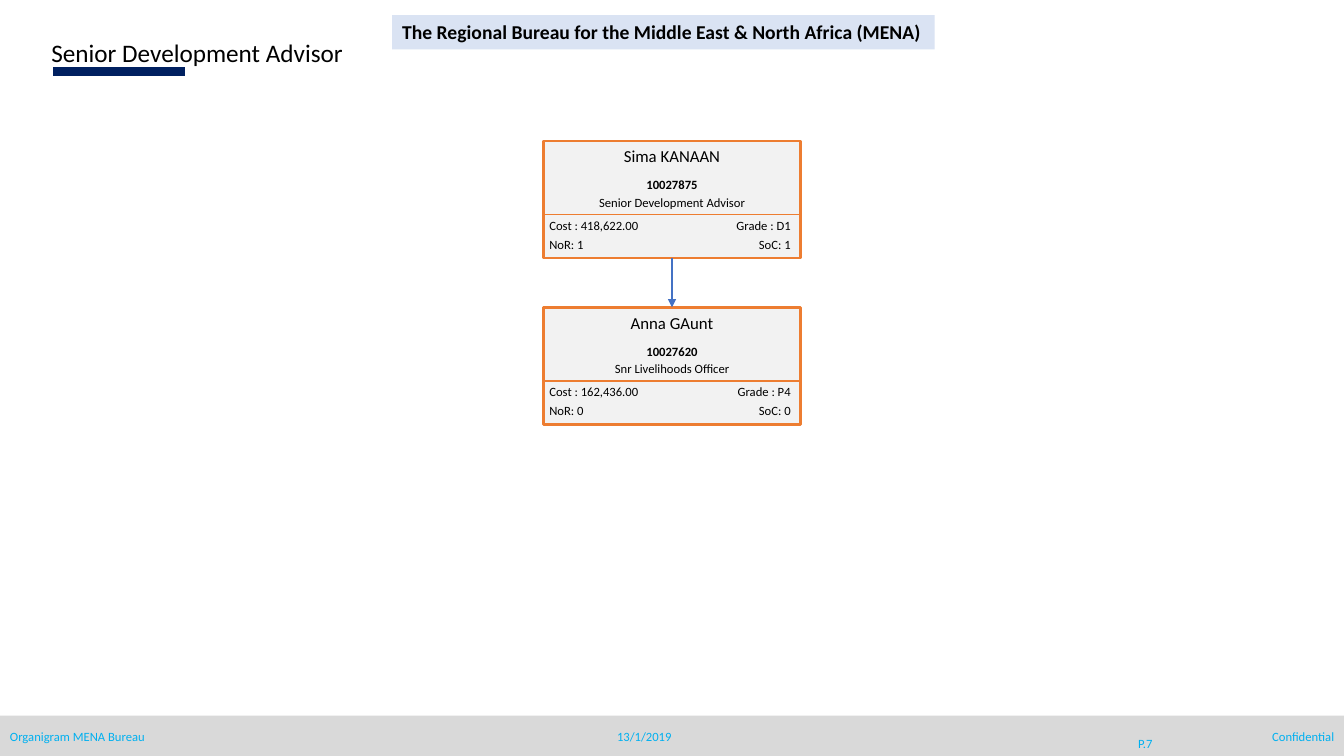
from pptx import Presentation
from pptx.dml.color import RGBColor
from pptx.enum.shapes import MSO_CONNECTOR as Conn, MSO_SHAPE as Kind
from pptx.enum.text import MSO_ANCHOR as Anchor, MSO_AUTO_SIZE as Fit, PP_ALIGN as Align
from pptx.oxml.ns import qn
from pptx.util import Inches, Pt
from lxml import etree

FONT = "Calibri"
BLACK, SKY, ORANGE = "000000", "00B0F0", "ED7D31"
LEFT, MID, RIGHT = Align.LEFT, Align.CENTER, Align.RIGHT


def paint(color, code):
    color.rgb = RGBColor.from_string(code)


def write(shape, text, size=9, code=BLACK, align=LEFT, bold=False, anchor=Anchor.TOP, wrap=True):
    frame = shape.text_frame
    frame.auto_size = Fit.NONE
    frame.word_wrap = wrap
    frame.vertical_anchor = anchor
    para = frame.paragraphs[0]
    para.text = text
    para.alignment = align
    para.font.name = FONT
    para.font.size = Pt(size)
    para.font.bold = bold
    paint(para.font.color, code)


def label(slide, box, text, **style):
    shape = slide.shapes.add_textbox(*map(Inches, box))
    write(shape, text, **style)


def panel(slide, box, fill, edge=None):
    shape = slide.shapes.add_shape(Kind.RECTANGLE, *map(Inches, box))
    shape.shadow.inherit = False
    shape.fill.solid()
    paint(shape.fill.fore_color, fill)
    if edge:
        paint(shape.line.color, edge)
        shape.line.width = Pt(2)
    else:
        shape.line.fill.background()
    return shape


def rule(slide, start, end, code, width):
    line = slide.shapes.add_connector(Conn.STRAIGHT, *map(Inches, start + end))
    paint(line.line.color, code)
    line.line.width = Pt(width)
    etree.SubElement(line._element.spPr, qn("a:effectLst"))
    return line


def header(slide, box):
    x, y, w, h = box
    # Accent bar and title
    rule(slide, (x + 0.12, y + 0.39), (x + 1.43, y + 0.39), "002060", 7)
    title = slide.shapes.title
    title.left, title.top, title.width, title.height = map(Inches, box)
    write(title, "Senior Development Advisor", size=18)
    # Bureau banner
    banner = panel(slide, (3.89, 0.15, 5.38, 0.34), "DAE3F3")
    write(banner, "The Regional Bureau for the Middle East & North Africa (MENA)",
          size=14, bold=True, wrap=False)


def footer(slide, box):
    x, y, w, h = box
    panel(slide, box, "D9D9D9")
    top = y + 0.08
    label(slide, (x, top, 3.08, 0.25), "Organigram MENA Bureau", code=SKY)
    label(slide, (x + w - 3.08, top, 3.08, 0.25), "Confidential", code=SKY, align=RIGHT)
    label(slide, (10.96, top, 0.8, 0.4), "P.7", code=SKY, align=MID, anchor=Anchor.MIDDLE)
    label(slide, (5.95, top, 0.88, 0.25), "13/1/2019", code=SKY, align=MID, anchor=Anchor.MIDDLE)


def card(slide, box, name, code, role, cost, grade, nor, soc):
    x, y, w, h = box
    frame = panel(slide, box, "F2F2F2", ORANGE)
    # Person and post
    label(slide, (x, y, w, 0.31), name, size=12, align=MID)
    label(slide, (x, y + 0.31, w, 0.25), code, bold=True, align=MID)
    label(slide, (x, y + 0.48, w, 0.25), role, align=MID)
    rule(slide, (x, y + 0.73), (x + w, y + 0.73), ORANGE, 1)
    # Figures in two columns
    half = w / 2
    rows = [(0.71, f"Cost : {cost}", f"Grade : {grade}"), (0.9, f"NoR: {nor}", f"SoC: {soc}")]
    for drop, left, right in rows:
        label(slide, (x - 0.04, y + drop, half, 0.25), left)
        label(slide, (x + half, y + drop, half, 0.25), right, align=RIGHT)
    return frame


def chart(slide, box):
    x, y, w, h = box
    people = [
        ("Sima KANAAN", "10027875", "Senior Development Advisor", "418,622.00", "D1", 1, 1),
        ("Anna GAunt", "10027620", "Snr Livelihoods Officer", "162,436.00", "P4", 0, 0),
    ]
    tall = 1.16
    step = h - tall
    boss, staff = [card(slide, (x, y + i * step, w, tall), *person)
                   for i, person in enumerate(people)]
    # Reporting arrow
    mid = x + w / 2
    arrow = rule(slide, (mid, y + tall), (mid, y + step), "4472C4", 1.5)
    arrow.begin_connect(boss, 2)
    arrow.end_connect(staff, 0)
    etree.SubElement(arrow.line._get_or_add_ln(), qn("a:tailEnd"), type="triangle")


def main():
    deck = Presentation()
    deck.slide_width, deck.slide_height = Inches(13.33), Inches(7.5)
    slide = deck.slides.add_slide(deck.slide_layouts[5])
    footer(slide, (0, 7.1, 13.33, 0.41))
    header(slide, (0.41, 0.32, 5.3, 0.41))
    chart(slide, (5.39, 1.4, 2.55, 2.81))
    deck.save("out.pptx")


if __name__ == "__main__":
    main()
